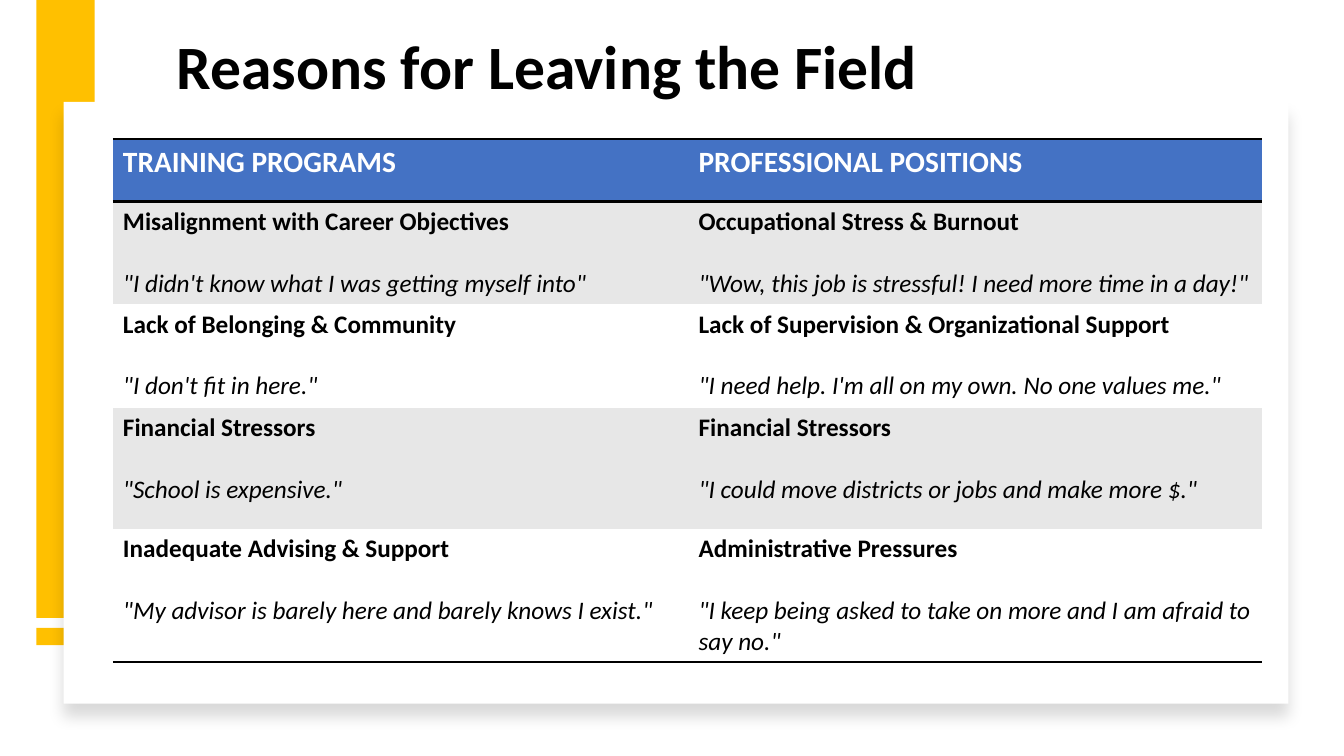
from pptx import Presentation
from pptx.dml.color import RGBColor as Rgb
from pptx.enum.shapes import MSO_SHAPE as Kind
from pptx.enum.text import MSO_ANCHOR as Anchor, MSO_AUTO_SIZE as Fit, PP_ALIGN as Align
from pptx.oxml import parse_xml as to_xml
from pptx.oxml.ns import nsdecls, qn
from pptx.util import Inches, Pt

BLACK = Rgb(0x00, 0x00, 0x00)
WHITE = Rgb(0xFF, 0xFF, 0xFF)
GOLD = Rgb(0xFF, 0xC0, 0x00)
BLUE = Rgb(0x44, 0x72, 0xC4)
GREY = Rgb(0xE7, 0xE7, 0xE7)

PLAIN = "{2D5ABB26-0587-4C30-8999-92F81FD0307C}"
HEADS = ["TRAINING PROGRAMS", "PROFESSIONAL POSITIONS"]
CAUSES = [
    [("Misalignment with Career Objectives",
      "\"I didn't know what I was getting myself into\""),
     ("Occupational Stress & Burnout",
      "\"Wow, this job is stressful! I need more time in a day!\"")],
    [("Lack of Belonging & Community",
      "\"I don't fit in here.\""),
     ("Lack of Supervision & Organizational Support",
      "\"I need help. I'm all on my own. No one values me.\"")],
    [("Financial Stressors",
      "\"School is expensive.\""),
     ("Financial Stressors",
      "\"I could move districts or jobs and make more $.\"")],
    [("Inadequate Advising & Support",
      "\"My advisor is barely here and barely knows I exist.\""),
     ("Administrative Pressures",
      "\"I keep being asked to take on more and I am afraid to say no.\"")],
]


class Deck:
    face = "Calibri"
    head = {"size": Pt(21), "bold": True, "italic": False}
    cause = {"size": Pt(18), "bold": True, "italic": False}
    quote = {"size": Pt(18), "bold": False, "italic": True}
    title = {"size": Pt(44), "bold": True, "italic": False}
    gap = Pt(22)

    def __init__(self):
        self.show = Presentation()
        self.show.slide_width = Inches(13.33)
        self.show.slide_height = Inches(7.5)
        self.slide = self.show.slides.add_slide(self.show.slide_layouts[5])

    def wide(self, share):
        return round(self.show.slide_width * share / 100)

    def high(self, share):
        return round(self.show.slide_height * share / 100)

    def area(self, x, y, w, h):
        return self.wide(x), self.high(y), self.wide(w), self.high(h)

    def label(self, para, text, style, color):
        run = para.add_run()
        run.text = text
        run.font.name = self.face
        run.font.color.rgb = color
        for key, value in style.items():
            setattr(run.font, key, value)

    def block(self, box, color):
        shape = self.slide.shapes.add_shape(Kind.RECTANGLE, *self.area(*box))
        shape.shadow.inherit = False
        shape.fill.solid()
        shape.fill.fore_color.rgb = color
        shape.line.fill.background()
        return shape

    def card(self, box):
        effect = self.block(box, WHITE).element.spPr.find(qn("a:effectLst"))
        effect.append(to_xml(
            f'<a:outerShdw {nsdecls("a")} blurRad="{Pt(11)}" dist="{Pt(10)}" '
            'dir="5400000" algn="t" rotWithShape="0"><a:srgbClr val="000000">'
            '<a:alpha val="15000"/></a:srgbClr></a:outerShdw>'))

    def name(self, box, text):
        shape = self.slide.shapes.title
        for key, value in zip(("left", "top", "width", "height"), self.area(*box)):
            setattr(shape, key, value)
        frame = shape.text_frame
        for key, value in {"vertical_anchor": Anchor.BOTTOM, "word_wrap": True,
                           "auto_size": Fit.NONE}.items():
            setattr(frame, key, value)
        para = frame.paragraphs[0]
        para.alignment = Align.LEFT
        para.line_spacing = 0.9
        self.label(para, text, self.title, BLACK)
        shape.element.getparent().append(shape.element)

    def rule(self, cell, sides):
        props = cell._tc.get_or_add_tcPr()
        for spot, side in enumerate(sides):
            props.insert(spot, to_xml(
                f'<a:ln{side} {nsdecls("a")} w="{Pt(2)}"><a:solidFill>'
                f'<a:srgbClr val="{BLACK}"/></a:solidFill></a:ln{side}>'))

    def fill(self, cell, color, sides):
        cell.fill.solid()
        cell.fill.fore_color.rgb = color
        self.rule(cell, sides)

    def table(self, spot, cols, rows):
        box = self.area(*spot, sum(cols), sum(rows))
        grid = self.slide.shapes.add_table(len(rows), len(cols), *box).table
        grid.horz_banding = False
        grid._tbl.tblPr.find(qn("a:tableStyleId")).text = PLAIN
        for col, share in zip(grid.columns, cols):
            col.width = self.wide(share)
        for row, share in zip(grid.rows, rows):
            row.height = self.high(share)
        for cell, text in zip(grid.rows[0].cells, HEADS):
            self.fill(cell, BLUE, "TB")
            self.label(cell.text_frame.paragraphs[0], text, self.head, WHITE)
        for count, pairs in enumerate(CAUSES, 1):
            sides = "B" if count == len(CAUSES) else ""
            for cell, (cause, quote) in zip(grid.rows[count].cells, pairs):
                self.fill(cell, GREY if count % 2 else WHITE, sides)
                self.label(cell.text_frame.paragraphs[0], cause, self.cause, BLACK)
                para = cell.text_frame.add_paragraph()
                para.space_before = self.gap
                self.label(para, quote, self.quote, BLACK)


def main():
    deck = Deck()
    for top, tall in ((83.07, 2.27), (0, 81.73)):
        deck.block((2.7, top, 4.35, tall), GOLD)
    deck.card((4.73, 13.47, 91.13, 79.6))
    deck.name((12.38, 1.07, 80.8, 13.2), "Reasons for Leaving the Field")
    deck.table((8.4, 18.4), (42.83, 42.68), (8.27, 13.07, 13.73, 16, 16))
    deck.show.save("out.pptx")


if __name__ == "__main__":
    main()
